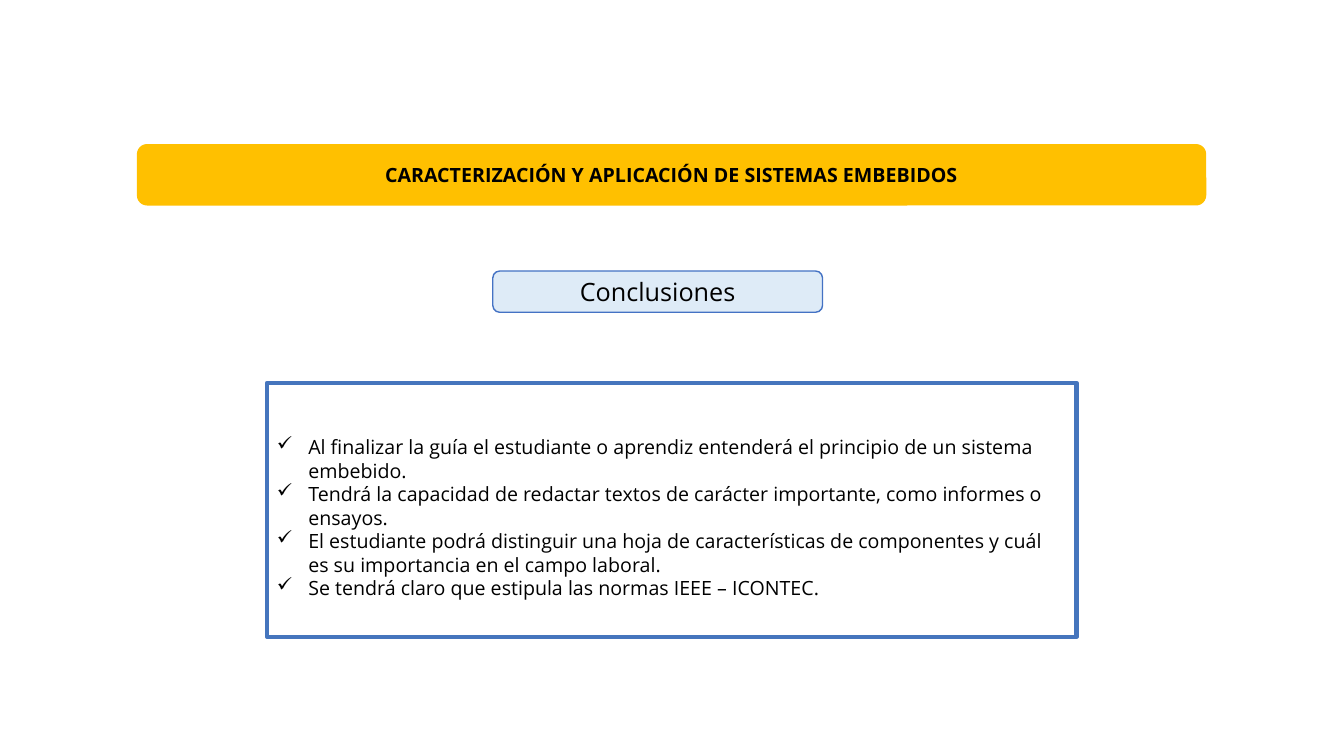
from dataclasses import dataclass

from lxml import etree
from pptx import Presentation
from pptx.dml.color import RGBColor
from pptx.enum.shapes import MSO_SHAPE
from pptx.enum.text import MSO_ANCHOR, PP_ALIGN
from pptx.oxml.ns import qn
from pptx.util import Cm, Pt

RECT, ROUND_RECT = MSO_SHAPE.RECTANGLE, MSO_SHAPE.ROUNDED_RECTANGLE
TOP, MIDDLE = MSO_ANCHOR.TOP, MSO_ANCHOR.MIDDLE
LEFT, CENTER = PP_ALIGN.LEFT, PP_ALIGN.CENTER


@dataclass(frozen=True)
class Theme:
    """Colours, font and type sizes of the slide."""
    font: str = "Open Sans"
    text: str = "000000"
    banner: str = "FFC000"
    label: str = "DEEBF7"
    label_line: str = "4472C4"
    frame_line: str = "4575BD"
    label_size: int = 18
    body_size: int = 14


THEME = Theme()
CONCLUSIONS = [
    "Al finalizar la guía el estudiante o aprendiz entenderá el principio de un sistema embebido.",
    "Tendrá la capacidad de redactar textos de carácter importante, como informes o ensayos.",
    "El estudiante podrá distinguir una hoja de características de componentes y cuál es su "
    "importancia en el campo laboral.",
    "Se tendrá claro que estipula las normas IEEE – ICONTEC.",
]


def add_box(s, kind, box, fill=None, line=None, width=1):
    """Add a shape with an optional fill and outline."""
    sp = s.shapes.add_shape(kind, *(Cm(v) for v in box))
    sp.shadow.inherit = False
    if fill:
        sp.fill.solid()
        sp.fill.fore_color.rgb = RGBColor.from_string(fill)
    else:
        sp.fill.background()
    if line:
        sp.line.color.rgb = RGBColor.from_string(line)
        sp.line.width = Pt(width)
    else:
        sp.line.fill.background()
    return sp


def add_bullet(p, indent):
    """Give a paragraph a check mark with a hanging indent."""
    pPr = p._p.get_or_add_pPr()
    pPr.set("marL", str(Cm(indent)))
    pPr.set("indent", str(-Cm(indent)))
    etree.SubElement(pPr, qn("a:buChar")).set("char", "✓")


def write(sp, lines, size, align=CENTER, anchor=MIDDLE, bold=False, indent=None):
    """Write paragraphs into a shape, bulleted when an indent is given."""
    tf = sp.text_frame
    tf.word_wrap = True
    tf.vertical_anchor = anchor
    tf.text = "\n".join(lines)
    for p in tf.paragraphs:
        p.alignment = align
        if indent:
            add_bullet(p, indent)
        for r in p.runs:
            r.font.name = THEME.font
            r.font.size = Pt(size)
            r.font.bold = bold
            r.font.color.rgb = RGBColor.from_string(THEME.text)


def main():
    """Build the conclusions slide."""
    prs = Presentation()
    prs.slide_width, prs.slide_height = Cm(33.87), Cm(19.05)
    s = prs.slides.add_slide(prs.slide_layouts[6])

    label = add_box(s, ROUND_RECT, (12.42, 6.83, 8.31, 1.04), THEME.label, THEME.label_line)
    write(label, ["Conclusiones"], THEME.label_size)

    banner = add_box(s, ROUND_RECT, (3.45, 3.63, 26.95, 1.55), THEME.banner)
    write(banner, ["CARACTERIZACIÓN Y APLICACIÓN DE SISTEMAS EMBEBIDOS"], THEME.body_size, bold=True)

    frame = add_box(s, RECT, (6.73, 9.65, 20.4, 6.4), line=THEME.frame_line, width=3)
    frame.text_frame.margin_top = Cm(1.31)
    write(frame, CONCLUSIONS, THEME.body_size, LEFT, TOP, indent=0.79)

    prs.save("out.pptx")


if __name__ == "__main__":
    main()
